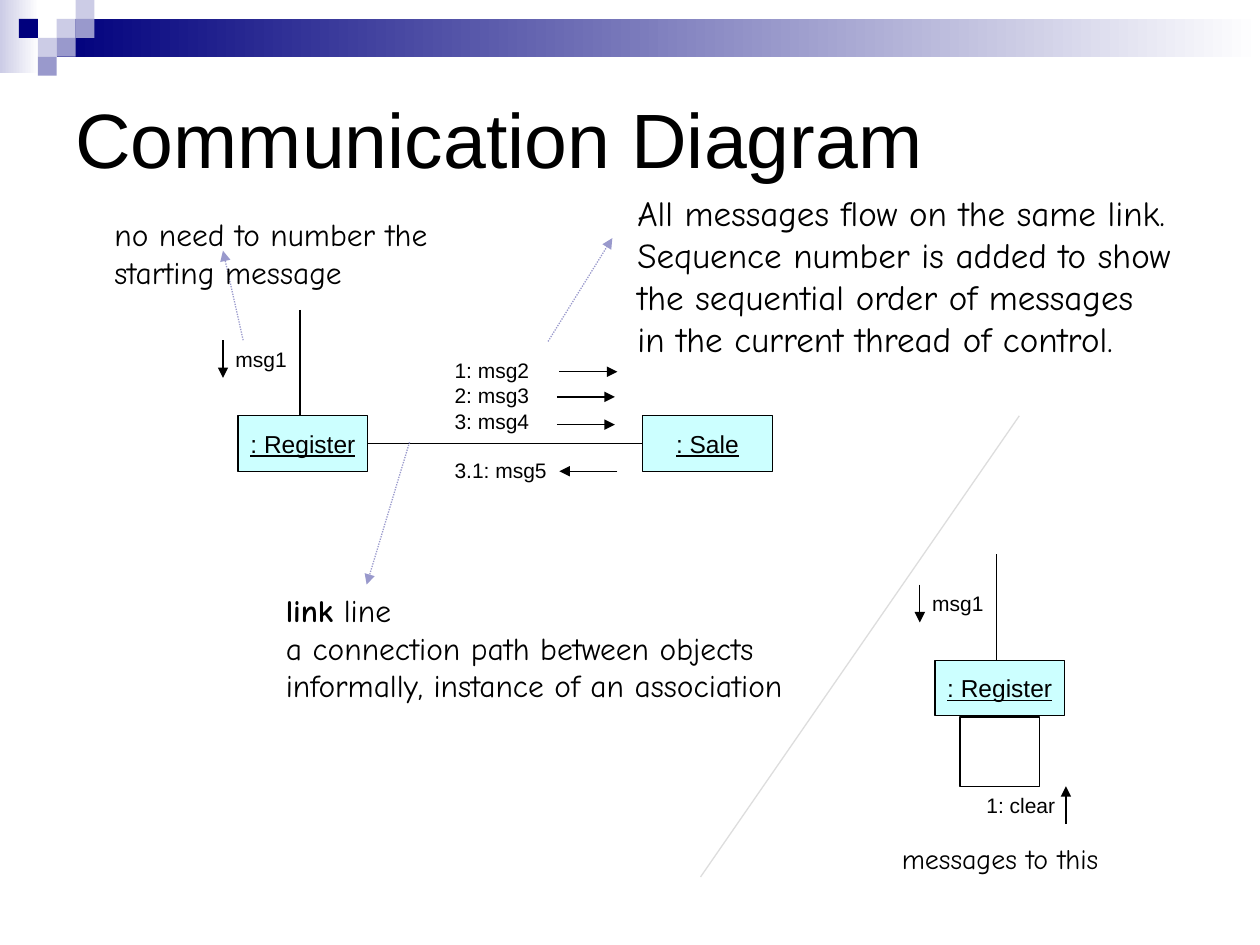
from dataclasses import dataclass

from lxml.etree import SubElement
from pptx import Presentation
from pptx.dml.color import RGBColor
from pptx.enum.dml import MSO_LINE
from pptx.enum.shapes import MSO_CONNECTOR, MSO_SHAPE
from pptx.enum.text import MSO_ANCHOR, MSO_AUTO_SIZE, PP_ALIGN
from pptx.oxml.ns import qn
from pptx.util import Inches, Pt


@dataclass(frozen=True)
class Theme:
    ink: str = "000000"
    white: str = "FFFFFF"
    navy: str = "00007D"
    lavender: str = "9999CC"
    pale: str = "CCCCE6"
    object_fill: str = "CCFFFF"
    divider: str = "DDDDDD"
    font: str = "Arial"
    note_font: str = "Comic Neue"
    title_size: int = 44
    callout_size: int = 20
    note_size: int = 18
    caption_size: int = 16
    object_size: int = 14
    message_size: int = 12
    line_width: float = 0.75


class DiagramSlide:
    def __init__(self, slide, theme):
        self.shapes = slide.shapes
        self.theme = theme

    def rect(self, left, top, width, height, fill=None, outline=False):
        """Rectangle; a pair of colours as fill makes a left-to-right gradient."""
        rect = self.shapes.add_shape(
            MSO_SHAPE.RECTANGLE, Inches(left), Inches(top), Inches(width), Inches(height))
        rect.shadow.inherit = False
        if fill is None:
            rect.fill.background()
        elif isinstance(fill, tuple):
            rect.fill.gradient()
            rect.fill.gradient_angle = 0
            for stop, color in zip(rect.fill.gradient_stops, fill):
                stop.color.rgb = RGBColor.from_string(color)
        else:
            rect.fill.solid()
            rect.fill.fore_color.rgb = RGBColor.from_string(fill)
        if outline:
            rect.line.color.rgb = RGBColor.from_string(self.theme.ink)
            rect.line.width = Pt(self.theme.line_width)
        else:
            rect.line.fill.background()
        return rect

    def style(self, paragraph, size, font):
        paragraph.font.size = Pt(size)
        paragraph.font.name = font
        paragraph.font.color.rgb = RGBColor.from_string(self.theme.ink)

    def text(self, left, top, width, height, lines, size, font):
        frame = self.shapes.add_textbox(
            Inches(left), Inches(top), Inches(width), Inches(height)).text_frame
        frame.word_wrap = False
        frame.auto_size = MSO_AUTO_SIZE.SHAPE_TO_FIT_TEXT
        frame.text = "\n".join(lines)
        for paragraph in frame.paragraphs:
            self.style(paragraph, size, font)
        return frame

    def title(self, left, top, width, height, wording):
        frame = self.text(left, top, width, height, [wording],
                          self.theme.title_size, self.theme.font)
        frame.word_wrap = True
        frame.auto_size = MSO_AUTO_SIZE.NONE
        frame.vertical_anchor = MSO_ANCHOR.MIDDLE

    def note(self, left, top, width, height, lines, size):
        return self.text(left, top, width, height, lines, size, self.theme.note_font)

    def messages(self, left, top, width, height, lines):
        return self.text(left, top, width, height, lines,
                         self.theme.message_size, self.theme.font)

    def object_box(self, left, top, name):
        box = self.rect(left, top, 1.03, 0.44, self.theme.object_fill, outline=True)
        frame = box.text_frame
        frame.word_wrap = False
        frame.vertical_anchor = MSO_ANCHOR.MIDDLE
        frame.text = name
        label = frame.paragraphs[0]
        label.alignment = PP_ALIGN.CENTER
        self.style(label, self.theme.object_size, self.theme.font)
        label.font.underline = True
        return box

    def line(self, start, end, color=None, dotted=False, arrow=False):
        line = self.shapes.add_connector(
            MSO_CONNECTOR.STRAIGHT, *(Inches(v) for v in (*start, *end)))
        line.line.color.rgb = RGBColor.from_string(color or self.theme.ink)
        line.line.width = Pt(self.theme.line_width)
        if dotted:
            line.line.dash_style = MSO_LINE.ROUND_DOT
        properties = line._element.spPr
        if arrow:
            SubElement(properties.find(qn("a:ln")), qn("a:tailEnd"), type="triangle")
        SubElement(properties, qn("a:effectLst"))
        return line

    def arrow(self, start, end):
        self.line(start, end, arrow=True)

    def pointer(self, start, end):
        self.line(start, end, self.theme.lavender, dotted=True, arrow=True)

    def called_object(self, left, top, name, message):
        """Object box with its incoming line, message label and arrow."""
        box = self.object_box(left, top, name)
        self.line((left + 0.49, top - 0.84), (left + 0.49, top))
        message_left, message_top = left - 0.12, top - 0.6
        self.messages(message_left, message_top, 0.61, 0.3, [message])
        self.arrow((message_left, message_top), (message_left, message_top + 0.3))
        return box


def main():
    presentation = Presentation()
    presentation.slide_width = Inches(10)
    presentation.slide_height = Inches(7.5)
    theme = Theme()
    diagram = DiagramSlide(
        presentation.slides.add_slide(presentation.slide_layouts[6]), theme)

    # Header band and checkered squares
    diagram.rect(0, 0, 0.31, 0.58, (theme.pale, theme.white))
    diagram.rect(0.45, 0.15, 9.55, 0.3, (theme.navy, theme.white))
    square = 0.15
    for column, row, color in [
        (3, 1, theme.pale), (4, 0, theme.pale), (4, 1, theme.lavender),
        (2, 2, theme.pale), (1, 1, theme.navy), (3, 2, theme.lavender),
        (2, 3, theme.lavender),
    ]:
        diagram.rect(column * square, row * square, square, square, color)

    diagram.title(0.5, 0.5, 9, 1.18, "Communication Diagram")

    # Register and Sale joined by the link line
    register = diagram.called_object(1.89, 3.3, ": Register", "msg1")
    sale = diagram.object_box(5.1, 3.3, ": Sale")
    link = diagram.line((2.92, 3.52), (5.1, 3.52))
    link.begin_connect(register, 3)
    link.end_connect(sale, 1)

    # Messages along the link, the reply set below it
    exchange = diagram.messages(3.51, 2.79, 0.93, 1.1,
                                ["1: msg2", "2: msg3", "3: msg4", "3.1: msg5"])
    exchange.paragraphs[-1].space_before = Pt(14)
    for left, y in [(4.44, 2.95), (4.42, 3.15), (4.42, 3.37)]:
        diagram.arrow((left, y), (left + 0.46, y))
    diagram.arrow((4.9, 3.74), (4.44, 3.74))

    # Explanations and their dotted pointers
    diagram.pointer((3.25, 3.51), (2.91, 4.64))
    link_note = diagram.note(2.17, 4.64, 4.5, 1, [
        "",
        "a connection path between objects",
        "informally, instance of an association",
    ], theme.note_size)
    for wording, bold in [("link", True), (" line", False)]:
        run = link_note.paragraphs[0].add_run()
        run.text = wording
        run.font.bold = bold

    diagram.pointer((4.35, 2.71), (4.86, 1.89))
    diagram.note(4.96, 1.47, 4.79, 1.43, [
        "All messages flow on the same link.",
        "Sequence number is added to show",
        "the sequential order of messages",
        "in the current thread of control.",
    ], theme.callout_size)

    diagram.pointer((1.93, 2.7), (1.77, 1.99))
    diagram.note(0.81, 1.66, 2.9, 0.7,
                 ["no need to number the", "starting message"], theme.note_size)

    # Register sending a message to itself
    diagram.called_object(7.42, 5.24, ": Register", "msg1")
    diagram.rect(7.62, 5.69, 0.63, 0.55, outline=True)
    diagram.messages(7.73, 6.24, 0.75, 0.3, ["1: clear"])
    diagram.arrow((8.46, 6.54), (8.46, 6.24))
    diagram.line((8.09, 3.3), (5.56, 6.96), theme.divider)
    diagram.note(7.06, 6.63, 1.93, 0.37, ["messages to this"], theme.caption_size)

    presentation.save("out.pptx")


if __name__ == "__main__":
    main()
